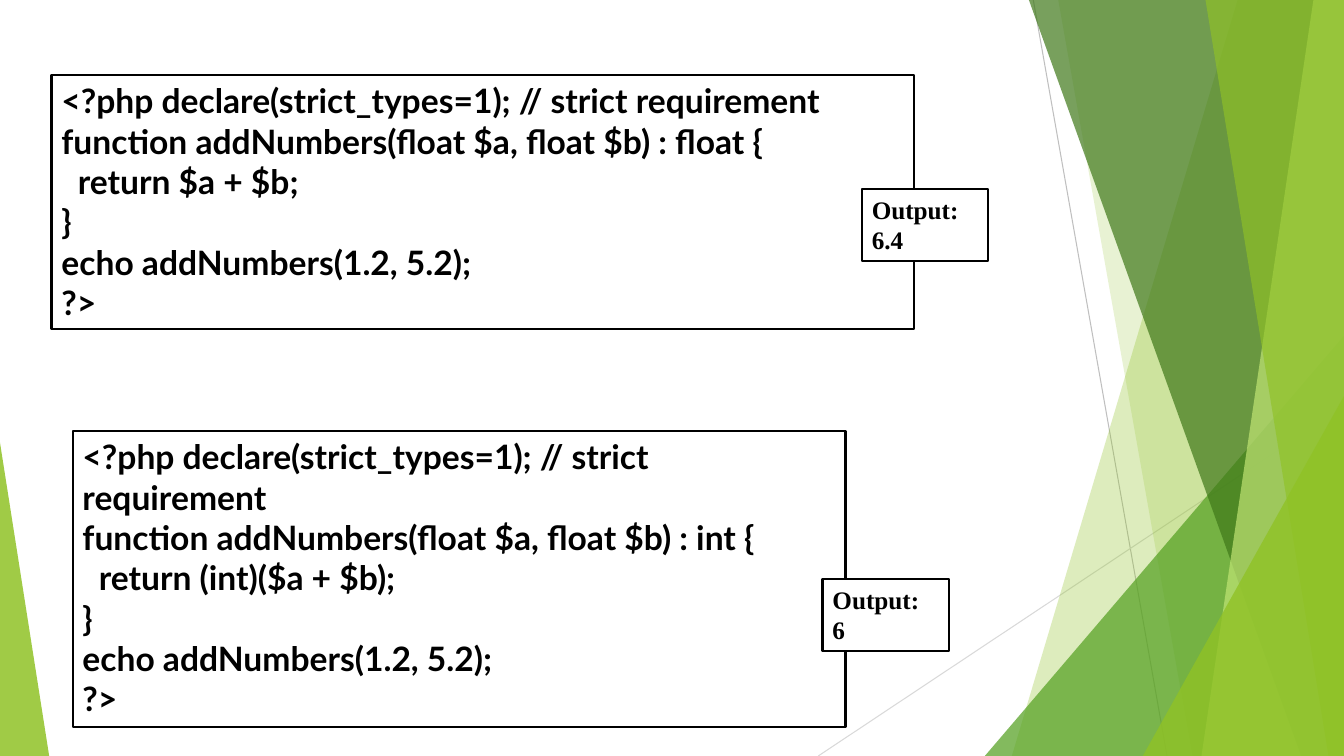
import pptx
import pptx.util
import pptx.dml.color
import pptx.enum.shapes
import pptx.enum.text
import pptx.oxml.ns
import lxml.etree

Cm, Pt = pptx.util.Cm, pptx.util.Pt
SHAPE = pptx.enum.shapes.MSO_SHAPE
W, H = 33.87, 19.05

# Facets from back to front: kind, top x (quad) or left x (triangle),
# bottom x (quad) or top y (triangle), colour, opacity in percent
FACETS = [
    ("quad", 31.19, 25.5, "90C226", 30),
    ("quad", 26.67, 30.05, "90C226", 20),
    ("triangle", 24.82, 8.46, "54A021", 72),
    ("quad", 25.93, 32.79, "3F7819", 70),
    ("quad", 33.1, 30.28, "C0E474", 70),
    ("quad", 30.38, 33.48, "90C226", 65),
    ("triangle", 28.8, 9.98, "90C226", 80),
]
RAYS = [((26.04, 0), (29.41, H), "BFBFBF"), ((W, 10.24), (20.62, H), "D9D9D9")]

FLOAT_CODE = """<?php declare(strict_types=1); // strict requirement
function addNumbers(float $a, float $b) : float {
  return $a + $b;
}
echo addNumbers(1.2, 5.2);
?>"""
INT_CODE = """<?php declare(strict_types=1); // strict requirement
function addNumbers(float $a, float $b) : int {
  return (int)($a + $b);
}
echo addNumbers(1.2, 5.2);
?>"""


def rgb(hex_colour):
    return pptx.dml.color.RGBColor.from_string(hex_colour)


def add_child(parent, tag, **attrs):
    return lxml.etree.SubElement(parent, pptx.oxml.ns.qn(tag), **attrs)


def paint(sp, colour, opacity=100, line=None):
    sp.shadow.inherit = False
    sp.fill.solid()
    sp.fill.fore_color.rgb = rgb(colour)
    if opacity < 100:
        clr = sp.fill._xPr.find(".//" + pptx.oxml.ns.qn("a:srgbClr"))
        add_child(clr, "a:alpha", val=str(opacity * 1000))
    if line:
        sp.line.color.rgb = rgb(line)
        sp.line.width = Pt(1.5)
    else:
        sp.line.fill.background()


def write(sp, text, font, size, bold=True, colour="000000"):
    tf = sp.text_frame
    tf.word_wrap = True
    tf.vertical_anchor = pptx.enum.text.MSO_ANCHOR.TOP
    for i, line in enumerate(text.split("\n")):
        p = tf.paragraphs[0] if i == 0 else tf.add_paragraph()
        p.alignment = pptx.enum.text.PP_ALIGN.LEFT
        r = p.add_run()
        r.text = line
        r.font.name, r.font.size, r.font.bold = font, Pt(size), bold
        r.font.color.rgb = rgb(colour)


def add_box(s, left, top, width, height, text, font, size):
    sp = s.shapes.add_shape(SHAPE.RECTANGLE, Cm(left), Cm(top), Cm(width), Cm(height))
    paint(sp, "FFFFFF", line="000000")
    write(sp, text, font, size)


def add_triangle(s, left, top, width, height, apex, colour, opacity):
    sp = s.shapes.add_shape(SHAPE.ISOSCELES_TRIANGLE, Cm(left), Cm(top), Cm(width), Cm(height))
    sp.adjustments[0] = apex
    paint(sp, colour, opacity)


def draw_facets(s, left, top, width, height):
    right, bottom = left + width, top + height
    # Thin rays
    for (x1, y1), (x2, y2), colour in RAYS:
        ray = s.shapes.add_connector(
            pptx.enum.shapes.MSO_CONNECTOR.STRAIGHT,
            Cm(left + x1), Cm(top + y1), Cm(left + x2), Cm(top + y2))
        ray.line.color.rgb = rgb(colour)
        ray.line.width = Pt(0.75)
        add_child(ray._element.spPr, "a:effectLst")
    # Facets that run to the right edge
    for kind, a, b, colour, opacity in FACETS:
        if kind == "triangle":
            add_triangle(s, left + a, top + b, width - a, height - b, 1, colour, opacity)
            continue
        fb = s.shapes.build_freeform(Cm(left + a), Cm(top))
        fb.add_line_segments([(Cm(right), Cm(top)), (Cm(right), Cm(bottom)),
                              (Cm(left + b), Cm(bottom))], close=True)
        paint(fb.convert_to_shape(), colour, opacity)
    # Wedge at the left edge
    add_triangle(s, left, top + 11.15, 1.24, height - 11.15, 0, "90C226", 85)


def draw_example(s, left, top, width, height, code, output, overlap, drop):
    """Code box with its output box lapping over the right edge."""
    add_box(s, left, top, width, height, code, "Lato", 24)
    add_box(s, left + width - overlap, top + drop, 3.18, 1.8,
            "Output:\n" + output, "Times New Roman", 18)


def main():
    prs = pptx.Presentation()
    prs.slide_width, prs.slide_height = Cm(W), Cm(H)
    s = prs.slides.add_slide(prs.slide_layouts[6])
    draw_facets(s, 0, 0, W, H)
    draw_example(s, 1.3, 1.9, 21.74, 6.4, FLOAT_CODE, "6.4", overlap=1.32, drop=2.87)
    draw_example(s, 1.83, 10.87, 19.48, 7.44, INT_CODE, "6", overlap=0.58, drop=3.73)
    prs.save("out.pptx")


if __name__ == "__main__":
    main()
